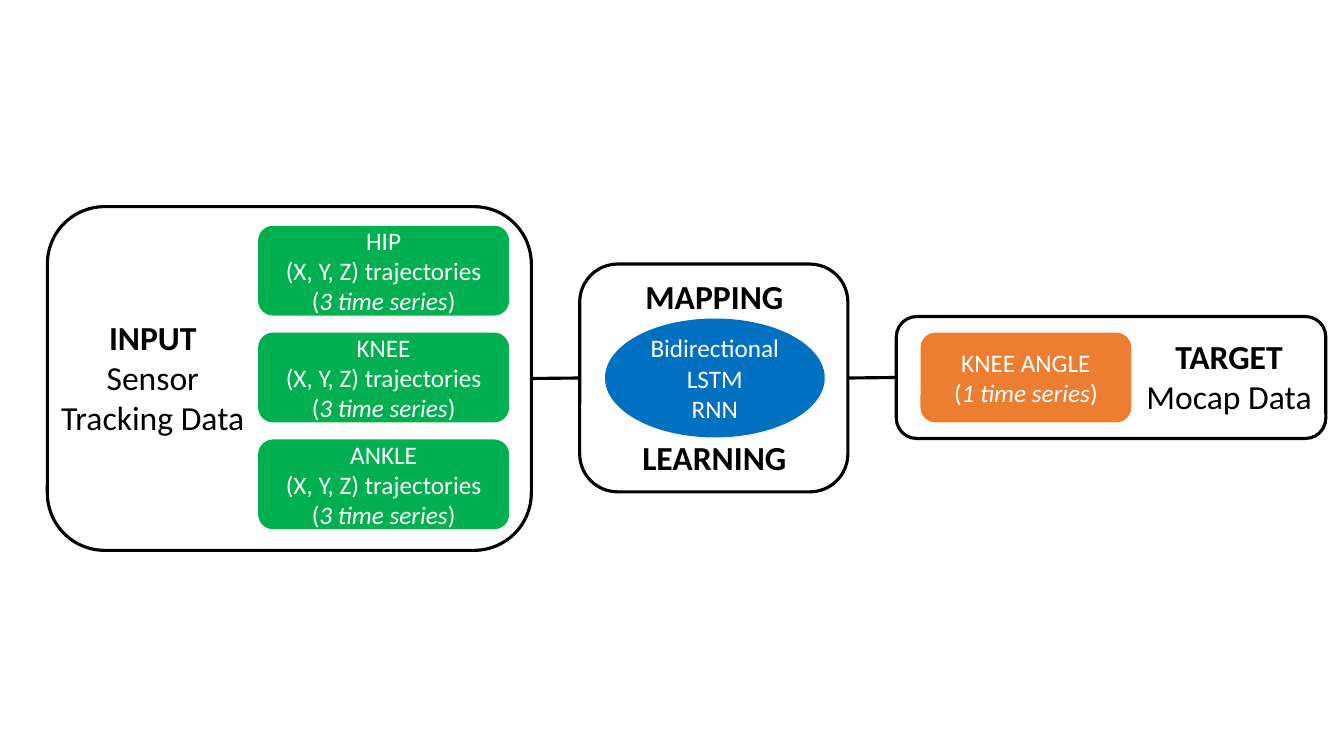
from lxml import etree
from pptx import Presentation
from pptx.dml.color import RGBColor
from pptx.enum.shapes import MSO_CONNECTOR, MSO_SHAPE
from pptx.enum.text import MSO_ANCHOR, PP_ALIGN
from pptx.oxml.ns import qn
from pptx.util import Pt

PX = 9144
ROUND = MSO_SHAPE.ROUNDED_RECTANGLE
OVAL = MSO_SHAPE.OVAL
STRAIGHT = MSO_CONNECTOR.STRAIGHT
CENTER = PP_ALIGN.CENTER
TOP, MIDDLE = MSO_ANCHOR.TOP, MSO_ANCHOR.MIDDLE
LEFT_SIDE, RIGHT_SIDE = 1, 3
COLORS = {"black": "000000", "white": "FFFFFF", "green": "00B050",
          "blue": "0070C0", "orange": "ED7D31"}


def color(name):
    return RGBColor.from_string(COLORS[name])


def write(tf, lines, size=18, ink="white", anchor=MIDDLE, bold_first=False):
    tf.word_wrap = True
    tf.vertical_anchor = anchor
    for i, line in enumerate(lines):
        p = tf.paragraphs[0] if i == 0 else tf.add_paragraph()
        p.alignment = CENTER
        for text, italic in [(line, False)] if isinstance(line, str) else line:
            r = p.add_run()
            r.text = text
            r.font.name = "Calibri"
            r.font.size = Pt(size)
            r.font.bold = bold_first and i == 0
            r.font.italic = italic
            r.font.color.rgb = color(ink)


def series(count):
    return [("(", False), (f"{count} time series", True), (")", False)]


class Diagram:
    """Draws the elements of one slide in a shared style."""

    def __init__(self, slide, line_width=2.25):
        self.shapes = slide.shapes
        self.line_width = Pt(line_width)

    def shape(self, kind, box):
        sp = self.shapes.add_shape(kind, *(v * PX for v in box))
        sp.shadow.inherit = False
        return sp

    def frame(self, *box):
        sp = self.shape(ROUND, box)
        sp.fill.background()
        sp.line.color.rgb = color("black")
        sp.line.width = self.line_width
        return sp

    def block(self, kind, fill, lines, *box):
        sp = self.shape(kind, box)
        sp.fill.solid()
        sp.fill.fore_color.rgb = color(fill)
        sp.line.fill.background()
        write(sp.text_frame, lines)

    def label(self, lines, *box):
        sp = self.shapes.add_textbox(*(v * PX for v in box))
        write(sp.text_frame, lines, size=24, ink="black", anchor=TOP, bold_first=True)

    def link(self, a, b):
        c = self.shapes.add_connector(STRAIGHT, 0, 0, 0, 0)
        c.begin_connect(a, RIGHT_SIDE)
        c.end_connect(b, LEFT_SIDE)
        c.line.color.rgb = color("black")
        c.line.width = self.line_width
        etree.SubElement(c._element.spPr, qn("a:effectLst"))


def main():
    prs = Presentation()
    prs.slide_width, prs.slide_height = 1333 * PX, 750 * PX
    d = Diagram(prs.slides.add_slide(prs.slide_layouts[6]))

    source = d.frame(47, 205, 480, 341)
    mapping = d.frame(575, 262, 266, 226)
    target = d.frame(889, 314, 426, 121)
    d.link(source, mapping)
    d.link(mapping, target)

    d.label(["INPUT", "Sensor Tracking Data"], 47, 309, 209, 131)
    for i, joint in enumerate(["HIP", "KNEE", "ANKLE"]):
        d.block(ROUND, "green", [joint, "(X, Y, Z) trajectories", series(3)],
                256, 224 + 106 * i, 249, 89)

    d.label(["MAPPING"], 584, 269, 249, 50)
    d.block(OVAL, "blue", ["Bidirectional", "LSTM", "RNN"], 600, 316, 218, 118)
    d.label(["LEARNING"], 584, 429, 249, 50)

    d.block(ROUND, "orange", ["KNEE ANGLE", series(1)], 913, 330, 209, 89)
    d.label(["TARGET", "Mocap Data"], 1122, 328, 194, 91)

    prs.save("out.pptx")


if __name__ == "__main__":
    main()
